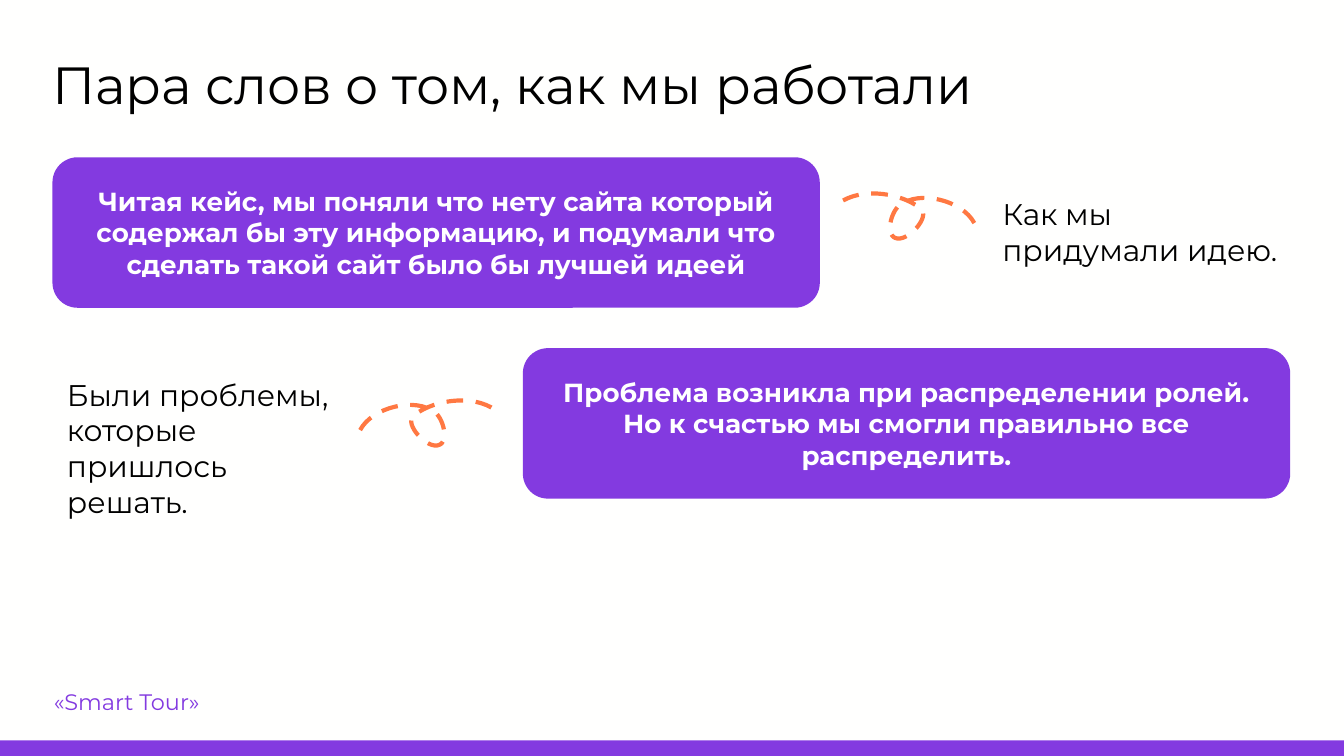
"""Build the slide about how the team worked."""
import pptx
import pptx.dml.color
import pptx.enum.dml
import pptx.enum.shapes
import pptx.enum.text
import pptx.util
from pptx.util import Inches

RGBColor = pptx.dml.color.RGBColor
PURPLE = RGBColor(0x83, 0x3A, 0xE0)
ORANGE = RGBColor(0xFF, 0x78, 0x42)
BLACK = RGBColor(0, 0, 0)
WHITE = RGBColor(0xFF, 0xFF, 0xFF)
IVORY = RGBColor(0xFF, 0xFF, 0xFE)
SHAPES = pptx.enum.shapes.MSO_SHAPE


def write(sp, text, size, color, margin=0.1, bold=False):
    tf = sp.text_frame
    tf.word_wrap = True
    tf.margin_left = tf.margin_right = Inches(margin)
    tf.margin_top = tf.margin_bottom = Inches(margin)
    p = tf.paragraphs[0]
    p.text = text
    p.font.name = "Montserrat"
    p.font.size = pptx.util.Pt(size)
    p.font.bold = bold
    p.font.color.rgb = color
    return tf


def add_block(s, kind, left, top, width, height):
    sp = s.shapes.add_shape(kind, Inches(left), Inches(top), Inches(width), Inches(height))
    sp.shadow.inherit = False
    sp.fill.solid()
    sp.fill.fore_color.rgb = PURPLE
    sp.line.fill.background()
    return sp


prs = pptx.Presentation()
prs.slide_width = Inches(10)
prs.slide_height = Inches(10) * 9 // 16
s = prs.slides.add_slide(prs.slide_layouts[6])
s.background.fill.solid()
s.background.fill.fore_color.rgb = IVORY

add_block(s, SHAPES.RECTANGLE, 0, 5.51, 10, 0.13)

texts = [
    ("Пара слов о том, как мы работали", 28, BLACK, 0, 0.39, 0.39, 9.21, 0.47),
    ("«Smart Tour»", 12, PURPLE, 0, 0.4, 5.12, 7.81, 0.3),
    ("Как мы придумали идею.", 16, BLACK, 0.1, 7.36, 1.36, 2.32, 0.74),
    ("Были проблемы, которые пришлось решать.", 16, BLACK, 0.1, 0.4, 2.7, 2.32, 1.28),
]
for text, size, color, margin, *box in texts:
    sp = s.shapes.add_textbox(*map(Inches, box))
    write(sp, text, size, color, margin)

cards = [
    (0.39, 1.17, "Читая кейс, мы поняли что нету сайта который содержал бы эту "
                 "информацию, и подумали что сделать такой сайт было бы лучшей идеей"),
    (3.89, 2.59, "Проблема возникла при распределении ролей. Но к счастью мы "
                 "смогли правильно все распределить."),
]
for left, top, text in cards:
    sp = add_block(s, SHAPES.ROUNDED_RECTANGLE, left, top, 5.71, 1.12)
    sp.adjustments[0] = 0.167
    tf = write(sp, text, 14, WHITE, bold=True)
    tf.vertical_anchor = pptx.enum.text.MSO_ANCHOR.MIDDLE
    tf.paragraphs[0].alignment = pptx.enum.text.PP_ALIGN.CENTER

STEPS = 16
curve = [
    (7.25, 1.66), (7.16, 1.49), (6.84, 1.41), (6.69, 1.53),
    (6.63, 1.58), (6.59, 1.74), (6.66, 1.77),
    (6.75, 1.81), (6.93, 1.61), (6.85, 1.55),
    (6.68, 1.42), (6.36, 1.39), (6.21, 1.54),
]
loop = [curve[0]]
for start in range(0, len(curve) - 1, 3):
    for step in range(1, STEPS + 1):
        t = step / STEPS
        weights = ((1 - t) ** 3, 3 * t * (1 - t) ** 2, 3 * t ** 2 * (1 - t), t ** 3)
        controls = list(zip(weights, curve[start:start + 4]))
        loop.append((sum(w * x for w, (x, y) in controls),
                     sum(w * y for w, (x, y) in controls)))

for direction, dx, dy in [(1, 0, 0), (-1, 9.93, 1.54)]:
    points = [(Inches(dx + direction * x), Inches(dy + y)) for x, y in loop]
    builder = s.shapes.build_freeform(*points[0])
    builder.add_line_segments(points[1:], close=False)
    sp = builder.convert_to_shape()
    sp.shadow.inherit = False
    sp.fill.background()
    sp.line.color.rgb = ORANGE
    sp.line.width = pptx.util.Pt(2.25)
    sp.line.dash_style = pptx.enum.dml.MSO_LINE.DASH

prs.save("out.pptx")
